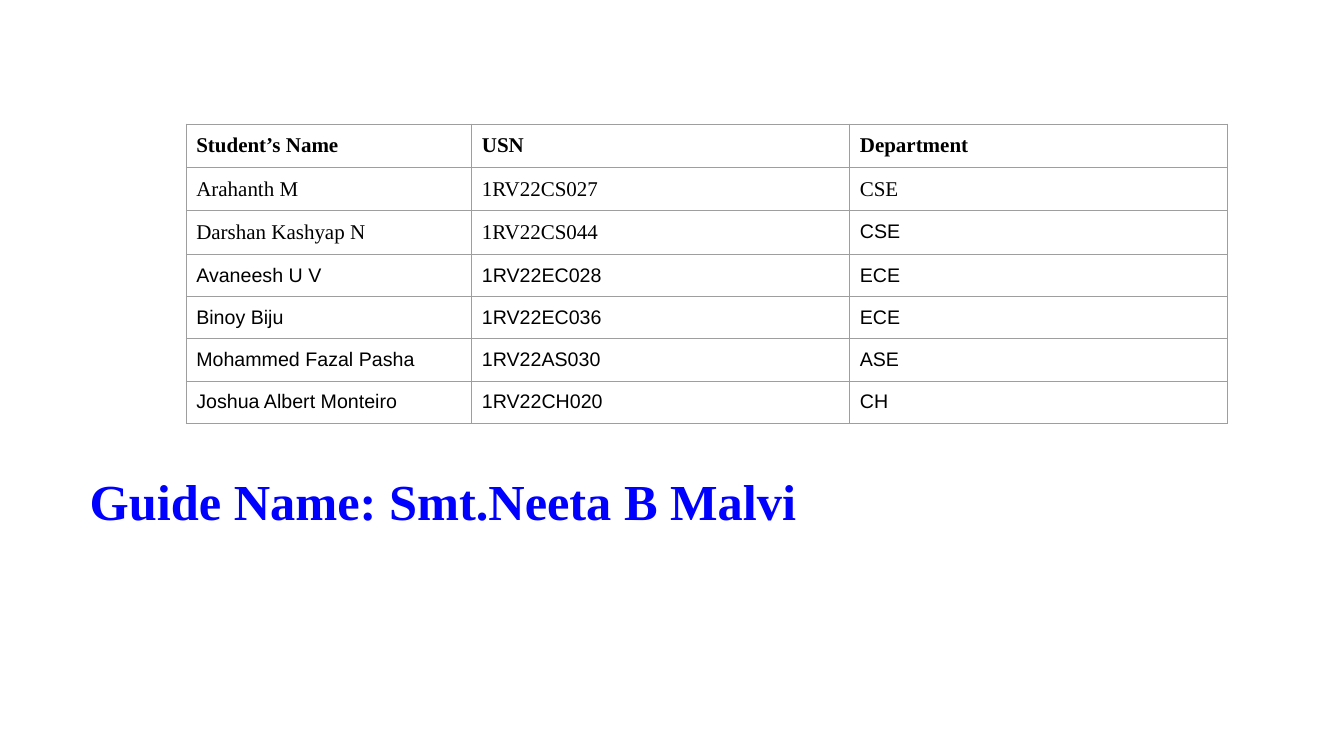
from dataclasses import dataclass

from lxml.etree import SubElement
from pptx import Presentation
from pptx.dml.color import RGBColor as RGB
from pptx.enum.text import MSO_ANCHOR as Anchor
from pptx.oxml.ns import qn
from pptx.util import Pt


@dataclass(frozen=True)
class Theme:
    serif: str = "Times New Roman"
    sans: str = "Arial"
    ink: RGB = RGB(0, 0, 0)
    guide_blue: RGB = RGB(0, 0, 255)
    paper: RGB = RGB(255, 255, 255)
    grid: str = "9E9E9E"
    grid_width: float = 0.75
    serif_size: float = 15
    sans_size: float = 14
    guide_size: float = 36
    inset: float = 7.2


THEME = Theme()
STUDENTS = [
    ("Student’s Name", "USN", "Department"),
    ("Arahanth M", "1RV22CS027", "CSE"),
    ("Darshan Kashyap N", "1RV22CS044", "CSE"),
    ("Avaneesh U V", "1RV22EC028", "ECE"),
    ("Binoy Biju", "1RV22EC036", "ECE"),
    ("Mohammed Fazal Pasha", "1RV22AS030", "ASE"),
    ("Joshua Albert Monteiro", "1RV22CH020", "CH"),
]
SERIF_CELLS = 8


def set_font(font, face, size, color, bold=False):
    font.name = face
    font.size = Pt(size)
    font.color.rgb = color
    font.bold = bold


def set_insets(box):
    box.margin_left = box.margin_right = Pt(THEME.inset)
    box.margin_top = box.margin_bottom = Pt(THEME.inset)


def add_borders(cell):
    properties = cell._tc.get_or_add_tcPr()
    for position, side in enumerate(("lnL", "lnR", "lnT", "lnB")):
        border = SubElement(properties, qn(f"a:{side}"), w=str(Pt(THEME.grid_width)))
        stroke = SubElement(border, qn("a:solidFill"))
        SubElement(stroke, qn("a:srgbClr"), val=THEME.grid)
        properties.insert(position, border)


def add_students(slide, left, top, width, height):
    students = slide.shapes.add_table(
        len(STUDENTS), len(STUDENTS[0]), Pt(left), Pt(top), Pt(width), Pt(height)
    ).table
    students.first_row = students.horz_banding = False
    name_width = 204
    detail_width = (width - name_width) / 2
    for column, column_width in zip(students.columns, (name_width, detail_width, detail_width)):
        column.width = Pt(column_width)
    for row_index, student in enumerate(STUDENTS):
        for column_index, entry in enumerate(student):
            cell = students.cell(row_index, column_index)
            cell.text = entry
            cell.fill.solid()
            cell.fill.fore_color.rgb = THEME.paper
            set_insets(cell)
            add_borders(cell)
            if row_index * len(student) + column_index < SERIF_CELLS:
                face, size = THEME.serif, THEME.serif_size
            else:
                face, size = THEME.sans, THEME.sans_size
            set_font(cell.text_frame.paragraphs[0].font, face, size, THEME.ink, row_index == 0)


def add_guide(slide, left, top, width, height):
    guide = slide.shapes.add_textbox(Pt(left), Pt(top), Pt(width), Pt(height)).text_frame
    guide.word_wrap = True
    guide.vertical_anchor = Anchor.BOTTOM
    set_insets(guide)
    guide.text = "Guide Name: Smt.Neeta B Malvi"
    set_font(guide.paragraphs[0].font, THEME.serif, THEME.guide_size, THEME.guide_blue, True)


def main():
    deck = Presentation()
    deck.slide_width, deck.slide_height = Pt(960), Pt(540)
    slide = deck.slides.add_slide(deck.slide_layouts[6])
    add_students(slide, 133, 88.7, 744, 210)
    add_guide(slide, 57, 327.6, 630.7, 58.3)
    deck.save("out.pptx")


if __name__ == "__main__":
    main()
